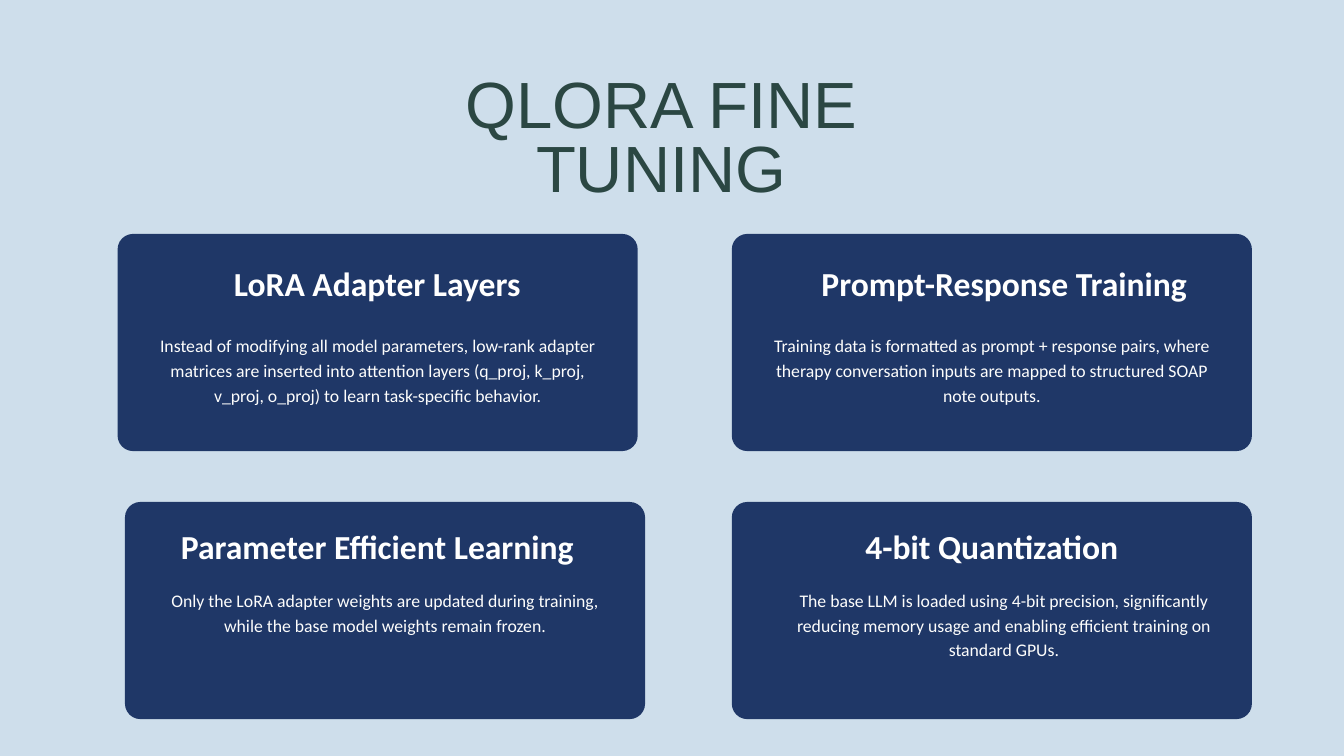
import pptx
import pptx.dml.color
import pptx.enum.shapes
import pptx.enum.text
import pptx.util

Pt = pptx.util.Pt
Color = pptx.dml.color.RGBColor.from_string

theme = {
    "background": Color("CEDEEB"),
    "card": Color("1F3767"),
    "title": {"name": "Arial", "size": Pt(70), "bold": False, "color": Color("2B4743"), "spacing": Pt(67.9)},
    "heading": {"name": "Calibri", "size": Pt(36), "bold": True, "color": Color("FFFFFF"), "spacing": Pt(50.4)},
    "body": {"name": "Calibri", "size": Pt(19), "bold": False, "color": Color("FDFDFC"), "spacing": Pt(26.6)},
}


def add_text(page, text, style, left, top, width, height):
    box = page.shapes.add_textbox(Pt(left), Pt(top), Pt(width), Pt(height))
    frame = box.text_frame
    settings = {"margin_left": 0, "margin_right": 0, "margin_top": 0, "margin_bottom": 0, "word_wrap": True}
    for name, value in settings.items():
        setattr(frame, name, value)
    para = frame.paragraphs[0]
    para.alignment = pptx.enum.text.PP_ALIGN.CENTER
    para.line_spacing = theme[style]["spacing"]
    span = para.add_run()
    span.text = text
    for name in ("name", "size", "bold"):
        setattr(span.font, name, theme[style][name])
    span.font.color.rgb = theme[style]["color"]


deck = pptx.Presentation()
deck.slide_width, deck.slide_height = Pt(1440), Pt(810)
page = deck.slides.add_slide(deck.slide_layouts[6])
page.background.fill.solid()
page.background.fill.fore_color.rgb = theme["background"]

add_text(page, "QLORA FINE TUNING", "title", 372.2, 84.2, 672.5, 71.3)

card_width, card_height, corner = 557.3, 232.7, 16.6
body_width = 492.5
rows = [
    {"card": 250.6, "heading": 274.3, "body": 355},
    {"card": 537.8, "heading": 555.8, "body": 627.8},
]
cards = [
    (0, 126, 236.2, 336.2, 158.4, 77.8, "LoRA Adapter Layers",
     "Instead of modifying all model parameters, low-rank adapter matrices are inserted into "
     "attention layers (q_proj, k_proj, v_proj, o_proj) to learn task-specific behavior."),
    (0, 784.1, 862.6, 427, 816.5, 77.8, "Prompt-Response Training",
     "Training data is formatted as prompt + response pairs, where therapy conversation inputs "
     "are mapped to structured SOAP note outputs."),
    (1, 133.9, 175, 458.6, 166.3, 51.8, "Parameter Efficient Learning",
     "Only the LoRA adapter weights are updated during training, while the base model weights "
     "remain frozen."),
    (1, 784.1, 914.4, 296.6, 829.4, 77.8, "4-bit Quantization",
     "The base LLM is loaded using 4-bit precision, significantly reducing memory usage and "
     "enabling efficient training on standard GPUs."),
]

for row, left, heading_left, heading_width, body_left, body_height, heading, body in cards:
    tops = rows[row]
    card = page.shapes.add_shape(
        pptx.enum.shapes.MSO_SHAPE.ROUNDED_RECTANGLE,
        Pt(left), Pt(tops["card"]), Pt(card_width), Pt(card_height),
    )
    card.adjustments[0] = corner / card_height
    card.shadow.inherit = False
    card.fill.solid()
    card.fill.fore_color.rgb = theme["card"]
    card.line.fill.background()
    add_text(page, heading, "heading", heading_left, tops["heading"], heading_width, 49)
    add_text(page, body, "body", body_left, tops["body"], body_width, body_height)

deck.save("out.pptx")
